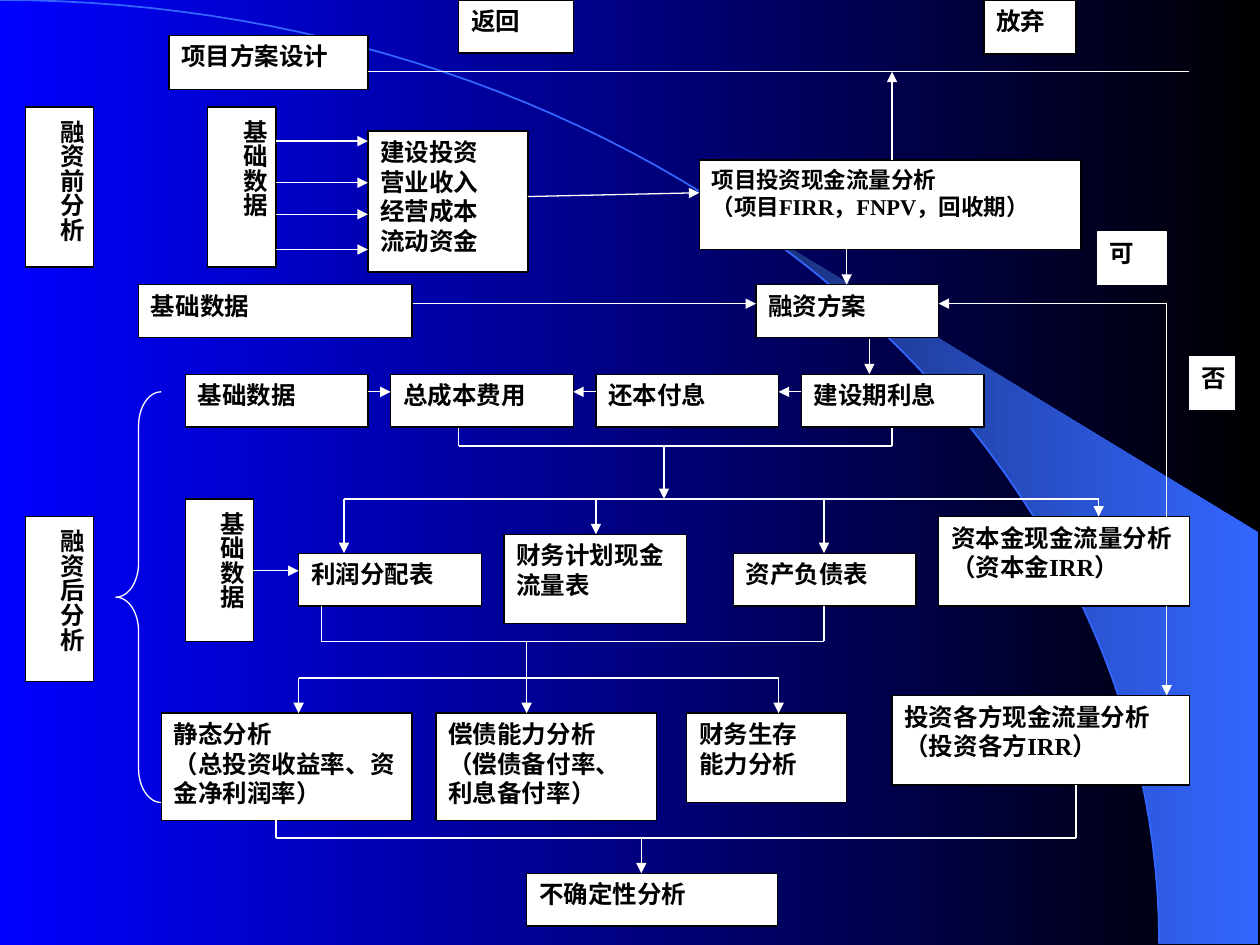
from dataclasses import dataclass
from math import asin, cos, pi, sin

from lxml import etree
from pptx import Presentation
from pptx.dml.color import RGBColor
from pptx.enum.shapes import MSO_CONNECTOR, MSO_SHAPE
from pptx.enum.text import MSO_ANCHOR, PP_ALIGN
from pptx.oxml.ns import qn
from pptx.util import Inches, Pt

RECT, BRACE = MSO_SHAPE.RECTANGLE, MSO_SHAPE.LEFT_BRACE
STRAIGHT = MSO_CONNECTOR.STRAIGHT
LEFT, TOP = PP_ALIGN.LEFT, MSO_ANCHOR.TOP


@dataclass(frozen=True)
class Theme:
    font: str = "Times New Roman"
    size: float = 14
    small: float = 12.9
    thin: float = 0.75
    white: RGBColor = RGBColor(255, 255, 255)
    black: RGBColor = RGBColor(0, 0, 0)
    blue: RGBColor = RGBColor(0, 0, 255)
    sky: RGBColor = RGBColor(0x33, 0x66, 0xFF)
    navy: RGBColor = RGBColor(0x18, 0x2F, 0x76)


THEME = Theme()

# Boxes: left, top, width, height, text
BOXES = [
    (1.34, 0.28, 1.58, 0.43, "项目方案设计"),
    (7.81, 0, 0.73, 0.43, "放弃"),
    (3.64, 0, 0.91, 0.42, "返回"),
    (2.92, 1.04, 1.27, 1.12, "建设投资\n营业收入\n经营成本\n流动资金"),
    (1.1, 2.26, 2.17, 0.42, "基础数据"),
    (6, 2.26, 1.45, 0.42, "融资方案"),
    (2.37, 4.39, 1.45, 0.42, "利润分配表"),
    (4, 4.24, 1.45, 0.71, "财务计划现金流量表"),
    (5.82, 4.39, 1.45, 0.42, "资产负债表"),
    (7.45, 4.1, 1.99, 0.71, "资本金现金流量分析（资本金IRR）"),
    (1.28, 5.66, 1.99, 0.85, "静态分析\n（总投资收益率、资金净利润率）"),
    (3.46, 5.66, 1.75, 0.85, "偿债能力分析\n（偿债备付率、利息备付率）"),
    (5.45, 5.66, 1.27, 0.71, "财务生存\n能力分析"),
    (7.08, 5.52, 2.36, 0.71, "投资各方现金流量分析\n（投资各方IRR）"),
    (4.18, 6.93, 1.99, 0.42, "不确定性分析"),
]
COSTS = ["基础数据", "总成本费用", "还本付息", "建设期利息"]
TALL = [
    (0.2, 0.85, 0.54, 1.27, "融资前分析"),
    (1.65, 0.85, 0.54, 1.27, "基础数据"),
    (0.2, 4.1, 0.54, 1.31, "融资后分析"),
    (1.47, 3.96, 0.54, 1.13, "基础数据"),
]
ANSWERS = [(8.71, 1.84, 0.55, 0.42, "可"), (9.44, 2.83, 0.36, 0.42, "否")]

# Arrows and plain lines: x and y of the start, x and y of the end
ARROWS = [
    (4.19, 1.56, 5.55, 1.53), (7.08, 1.27, 7.08, 0.57),
    (6.72, 1.98, 6.72, 2.26), (3.28, 2.41, 6, 2.41),
    (6.9, 2.69, 6.9, 2.97), (6.36, 3.11, 6.18, 3.11),
    (4.73, 3.11, 4.55, 3.11), (2.92, 3.11, 3.1, 3.11),
    (2.01, 4.53, 2.37, 4.53), (9.26, 2.41, 7.45, 2.41),
    (9.26, 4.81, 9.26, 5.52),
]
LINES = [(2.92, 0.57, 9.44, 0.57), (9.26, 2.41, 9.26, 4.1)]

# Joins: left x and top, right x and top, rail y, arrow x and end
JOINS = [
    (3.64, 3.4, 7.08, 3.4, 3.54, 5.27, 3.96),
    (2.55, 4.81, 6.54, 4.81, 5.09, 4.18, 5.66),
    (2.19, 6.51, 8.54, 6.23, 6.65, 5.09, 6.93),
]
# Forks: rail y, then x and end of each arrow
FORKS = [
    (3.96, [(2.73, 4.39), (4.73, 4.24), (6.54, 4.39), (8.72, 4.1)]),
    (5.38, [(2.37, 5.66), (6.18, 5.66)]),
]


def shade(fill, first, last):
    fill.gradient()
    fill.gradient_angle = 0
    for stop, tint in zip(fill.gradient_stops, (first, last)):
        stop.color.rgb = tint


def outline(slide, points, close):
    (x, y), *rest = [(Inches(a), Inches(b)) for a, b in points]
    pen = slide.shapes.build_freeform(x, y)
    pen.add_line_segments(rest, close=close)
    shape = pen.convert_to_shape()
    shape.shadow.inherit = False
    return shape


def arc(start, steps=60):
    """Points of the quarter ellipse, from an angle to its right end."""
    turns = [start + (pi / 2 - start) * i / steps for i in range(steps + 1)]
    return [(9.2 * sin(t), 7.49 * (1 - cos(t))) for t in turns]


def backdrop(slide):
    shade(slide.background.fill, THEME.blue, THEME.black)
    beam = outline(slide, arc(asin(5.89 / 9.2)) + [(9.99, 7.49), (9.99, 4.23)], True)
    shade(beam.fill, THEME.navy, THEME.sky)
    beam.line.fill.background()
    curve = outline(slide, arc(0), False)
    curve.fill.background()
    curve.line.color.rgb = THEME.sky
    curve.line.width = Pt(1)


def box(slide, x, y, w, h, text, size=THEME.size, edge=THEME.black, tall=False):
    shape = slide.shapes.add_shape(RECT, Inches(x), Inches(y), Inches(w), Inches(h))
    shape.shadow.inherit = False
    shape.fill.solid()
    shape.fill.fore_color.rgb = THEME.white
    shape.line.color.rgb = edge
    shape.line.width = Pt(THEME.thin)
    frame = shape.text_frame
    frame.text = text
    frame.vertical_anchor = TOP
    side, end = (0.05, 0.1) if tall else (0.1, 0.05)
    frame.margin_left = frame.margin_right = Inches(side)
    frame.margin_top = frame.margin_bottom = Inches(end)
    if tall:
        frame._txBody.bodyPr.set("vert", "eaVert")
    for para in frame.paragraphs:
        para.alignment = LEFT
        for run in para.runs:
            run.font.name = THEME.font
            run.font.size = Pt(size)
            run.font.bold = True
            run.font.color.rgb = THEME.black


def line(slide, x1, y1, x2, y2, head=False):
    ends = [Inches(v) for v in (x1, y1, x2, y2)]
    link = slide.shapes.add_connector(STRAIGHT, *ends)
    link.line.color.rgb = THEME.white
    link.line.width = Pt(THEME.thin)
    props = link._element.spPr
    if head:
        etree.SubElement(props.find(qn("a:ln")), qn("a:tailEnd"), type="triangle")
    etree.SubElement(props, qn("a:effectLst"))


def join(slide, x1, top1, x2, top2, rail, mid, end):
    line(slide, x1, top1, x1, rail)
    line(slide, x2, top2, x2, rail)
    line(slide, x1, rail, x2, rail)
    line(slide, mid, rail, mid, end, head=True)


def fork(slide, rail, tips):
    line(slide, tips[0][0], rail, tips[-1][0], rail)
    for x, end in tips:
        line(slide, x, rail, x, end, head=True)


def brace(slide):
    shape = slide.shapes.add_shape(
        BRACE, Inches(0.92), Inches(3.11), Inches(0.36), Inches(3.26))
    shape.adjustments[0] = 0.75
    shape.shadow.inherit = False
    shape.fill.background()
    shape.line.color.rgb = THEME.white
    shape.line.width = Pt(THEME.thin)


def main():
    deck = Presentation()
    deck.slide_width, deck.slide_height = Inches(10), Inches(7.5)
    slide = deck.slides.add_slide(deck.slide_layouts[6])
    backdrop(slide)

    # Boxes
    for item in BOXES:
        box(slide, *item)
    for i, text in enumerate(COSTS):
        box(slide, 1.47 + 1.63 * i, 2.97, 1.45, 0.42, text)
    box(slide, 5.55, 1.27, 3.03, 0.71,
        "项目投资现金流量分析\n（项目FIRR，FNPV，回收期）", size=THEME.small)
    for item in TALL:
        box(slide, *item, tall=True)

    # Links
    for ends in LINES:
        line(slide, *ends)
    for ends in ARROWS:
        line(slide, *ends, head=True)
    for y in (1.12, 1.45, 1.7, 1.98):
        line(slide, 2.19, y, 2.92, y, head=True)
    for item in JOINS:
        join(slide, *item)
    for item in FORKS:
        fork(slide, *item)

    # Answers and brace
    for item in ANSWERS:
        box(slide, *item, edge=THEME.white)
    brace(slide)
    deck.save("out.pptx")


if __name__ == "__main__":
    main()
